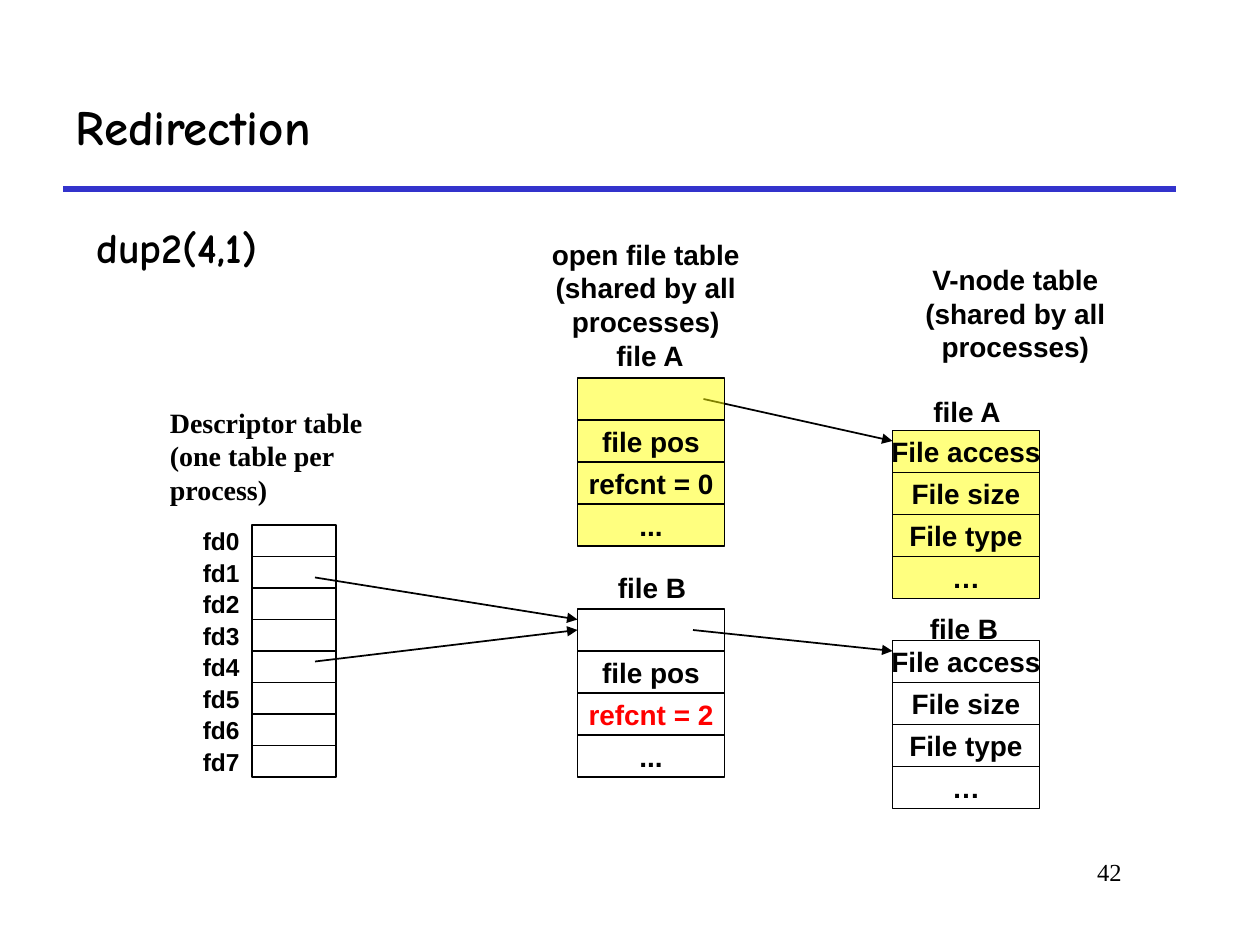
import pptx
import pptx.util
import pptx.dml.color
import pptx.enum.shapes
import pptx.enum.text
import pptx.oxml.ns
from lxml import etree

EMU_PER_PX = 7620  # 120 px to the inch
COLORS = {"ink": "000000", "rule": "3333CC", "closed": "FFFF00", "changed": "FF0000"}
ALIGN = pptx.enum.text.PP_ALIGN
ANCHOR = pptx.enum.text.MSO_ANCHOR
CELL_WIDTH, CELL_HEIGHT = 140, 40
FD_WIDTH, FD_HEIGHT = 80, 30


def px(*lengths):
    return [pptx.util.Emu(length * EMU_PER_PX) for length in lengths]


def rgb(name):
    return pptx.dml.color.RGBColor.from_string(COLORS[name])


def add_xml(parent, tag, **attributes):
    return etree.SubElement(parent, pptx.oxml.ns.qn(tag), **attributes)


class Diagram:
    """Holds the text style and the slide being drawn."""

    font = "Arial"
    size = 16

    def __init__(self, slide):
        self.slide = slide

    def set_text(self, frame, text, align=ALIGN.CENTER, anchor=ANCHOR.MIDDLE,
                 font=None, size=None, bold=True, color="ink", wrap=True):
        frame.text = text
        frame.word_wrap = wrap
        frame.vertical_anchor = anchor
        for paragraph in frame.paragraphs:
            paragraph.alignment = align
            for run in paragraph.runs:
                run.font.name = font or self.font
                run.font.size = pptx.util.Pt(size or self.size)
                run.font.bold = bold
                run.font.color.rgb = rgb(color)

    def title(self, text, box, **style):
        heading = self.slide.shapes.title
        heading.left, heading.top, heading.width, heading.height = px(*box)
        self.set_text(heading.text_frame, text, **style)

    def label(self, text, box, **style):
        frame = self.slide.shapes.add_textbox(*px(*box)).text_frame
        self.set_text(frame, text, **style)
        return frame

    def line(self, start, end, color="ink", weight=1, arrow=False):
        connector = self.slide.shapes.add_connector(
            pptx.enum.shapes.MSO_CONNECTOR.STRAIGHT, *px(*start, *end))
        connector.line.color.rgb = rgb(color)
        connector.line.width = pptx.util.Pt(weight)
        properties = connector._element.spPr
        if arrow:
            stroke = properties.find(pptx.oxml.ns.qn("a:ln"))
            add_xml(stroke, "a:tailEnd", type="triangle")
        add_xml(properties, "a:effectLst")

    def cell(self, box, text="", fill=None, color="ink"):
        """Draw one bordered cell; a fill is half transparent."""
        rect = self.slide.shapes.add_shape(
            pptx.enum.shapes.MSO_SHAPE.RECTANGLE, *px(*box))
        rect.shadow.inherit = False
        rect.line.color.rgb = rgb("ink")
        rect.line.width = pptx.util.Pt(1)
        if fill:
            rect.fill.solid()
            rect.fill.fore_color.rgb = rgb(fill)
            tint = rect._element.spPr.find(".//" + pptx.oxml.ns.qn("a:srgbClr"))
            add_xml(tint, "a:alpha", val="50000")
        else:
            rect.fill.background()
        if text:
            self.set_text(rect.text_frame, text, color=color, wrap=False)

    def entry(self, left, top, rows, fill=None, changed=None):
        """Stack the cells of one file's table entry."""
        for index, text in enumerate(rows):
            self.cell((left, top + index * CELL_HEIGHT, CELL_WIDTH, CELL_HEIGHT),
                      text, fill, "changed" if text == changed else "ink")


def main():
    deck = pptx.Presentation()
    deck.slide_width, deck.slide_height = px(1200, 900)
    diagram = Diagram(deck.slides.add_slide(deck.slide_layouts[5]))

    diagram.line((60, 180), (1120, 180), "rule", 3)
    diagram.title("Redirection", (60, 60, 1060, 120),
                  align=ALIGN.LEFT, font="Comic Neue", size=28)
    call = diagram.label("dup2(4,1)", (80, 210, 211, 56), align=ALIGN.LEFT,
                         anchor=ANCHOR.TOP, font="Comic Neue", size=24)
    call.paragraphs[0].line_spacing = 0.9
    diagram.label("42", (910, 810, 170, 60), align=ALIGN.RIGHT, anchor=ANCHOR.TOP,
                  font="Times New Roman", size=14, bold=False)

    diagram.label("Descriptor table (one table per process)", (150, 380, 210, 108),
                  align=ALIGN.LEFT, anchor=ANCHOR.TOP, font="Times New Roman")
    diagram.label("open file table\n(shared by all processes)", (470, 220, 290, 108))
    diagram.label("V-node table\n(shared by all processes)", (854, 244, 226, 108))

    for start, end in (
        ((300, 550), (550, 590)),
        ((300, 630), (550, 600)),
        ((670, 380), (850, 420)),
        ((660, 600), (850, 620)),
    ):
        diagram.line(start, end, arrow=True)

    for number in range(8):
        top = 500 + number * FD_HEIGHT
        diagram.label(f"fd{number}", (160, top, FD_WIDTH, FD_HEIGHT),
                      align=ALIGN.RIGHT, size=14)
        diagram.cell((240, top, FD_WIDTH, FD_HEIGHT))

    vnode_rows = ("File access", "File size", "File type", "…")
    diagram.entry(550, 360, ("", "file pos", "refcnt = 0", "..."), "closed")
    diagram.entry(550, 580, ("", "file pos", "refcnt = 2", "..."), changed="refcnt = 2")
    diagram.entry(850, 410, vnode_rows, "closed")
    diagram.entry(850, 610, vnode_rows)

    for name, left, top in (
        ("file A", 574, 316),
        ("file B", 576, 537),
        ("file A", 876, 370),
        ("file B", 873, 576),
    ):
        diagram.label(name, (left, top, 90, 44))

    deck.save("out.pptx")


if __name__ == "__main__":
    main()
